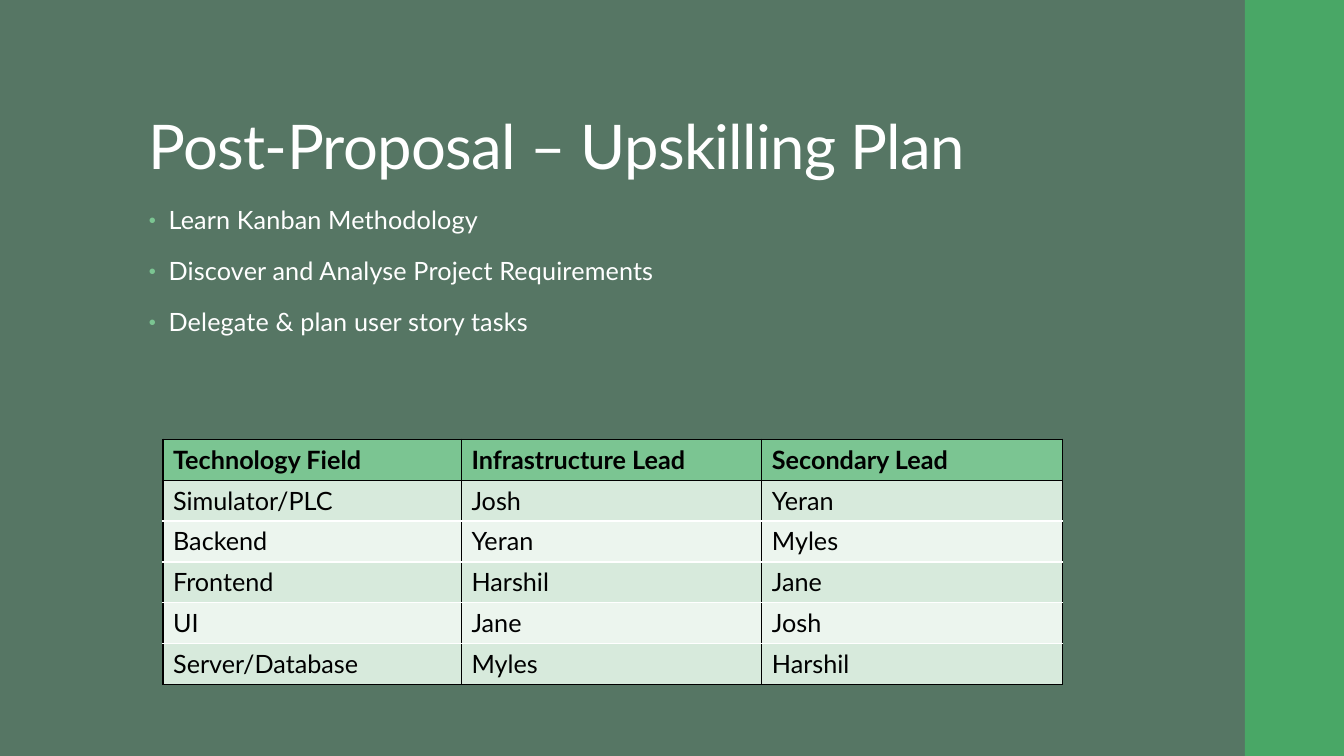
from pptx import Presentation
from pptx import util as u
from pptx.dml.color import RGBColor
from pptx.enum import shapes, text
from pptx.oxml import parse_xml
from pptx.oxml.ns import nsdecls

theme = {
    "font": "Lato",
    "background": "567664", "stripe": "49A766", "accent": "7BC592",
    "light": "FFFFFF", "dark": "000000", "bands": ("ECF5EE", "D7EADC"),
    "title_size": 44, "body_size": 18,
}


def paint(fill, color):
    fill.solid()
    fill.fore_color.rgb = RGBColor.from_string(color)


def write(para, words, size, color, bold=False, spacing=0):
    span = para.add_run()
    span.text = words
    span.font.color.rgb = RGBColor.from_string(color)
    font_format = {"name": theme["font"], "size": u.Pt(size), "bold": bold}
    for name, value in font_format.items():
        setattr(span.font, name, value)
    if spacing:
        span._r.get_or_add_rPr().set("spc", str(spacing))


deck = Presentation()
deck.slide_width, deck.slide_height = u.Cm(33.87), u.Cm(19.05)
page = deck.slides.add_slide(deck.slide_layouts[6])
paint(page.background.fill, theme["background"])

# Stripe along the right edge
stripe_left = u.Cm(31.37)
stripe = page.shapes.add_shape(shapes.MSO_SHAPE.RECTANGLE, stripe_left, 0,
                               deck.slide_width - stripe_left, deck.slide_height)
stripe.shadow.inherit = False
paint(stripe.fill, theme["stripe"])
stripe.line.fill.background()

# Title
title = page.shapes.add_textbox(u.Cm(3.5), u.Cm(1.88), u.Cm(26.92), u.Cm(2.84)).text_frame
title.word_wrap = True
title.vertical_anchor = text.MSO_ANCHOR.BOTTOM
title.paragraphs[0].line_spacing = 0.9
write(title.paragraphs[0], "Post-Proposal – Upskilling Plan",
      theme["title_size"], theme["light"], spacing=-50)

# Bulleted steps
steps = ("Learn Kanban Methodology",
         "Discover and Analyse Project Requirements",
         "Delegate & plan user story tasks")
step_format = {"line_spacing": 0.95, "space_before": u.Pt(14), "space_after": u.Pt(2)}
bullet_parts = (
    f'<a:buClr {nsdecls("a")}><a:srgbClr val="{theme["accent"]}"/></a:buClr>',
    f'<a:buSzPct {nsdecls("a")} val="80000"/>',
    f'<a:buFont {nsdecls("a")} typeface="Arial"/>',
    f'<a:buChar {nsdecls("a")} char="•"/>',
)
body = page.shapes.add_textbox(u.Cm(3.5), u.Cm(5.08), u.Cm(23.88), u.Cm(5.44)).text_frame
body.word_wrap = True
for index, step in enumerate(steps):
    para = body.add_paragraph() if index else body.paragraphs[0]
    for name, value in step_format.items():
        setattr(para, name, value)
    properties = para._p.get_or_add_pPr()
    properties.set("marL", str(u.Cm(0.5)))
    properties.set("indent", str(-u.Cm(0.5)))
    for part in bullet_parts:
        properties.append(parse_xml(part))
    write(para, step, theme["body_size"], theme["light"], spacing=10)

# Table of leads
leads = (
    ("Technology Field", "Infrastructure Lead", "Secondary Lead"),
    ("Simulator/PLC", "Josh", "Yeran"),
    ("Backend", "Yeran", "Myles"),
    ("Frontend", "Harshil", "Jane"),
    ("UI", "Jane", "Josh"),
    ("Server/Database", "Myles", "Harshil"),
)
widths = (7.52, 7.57, 7.57)
row_height = 1.03
last = len(leads) - 1
table = page.shapes.add_table(len(leads), len(widths), u.Cm(4.11), u.Cm(11.07),
                              u.Cm(sum(widths)), u.Cm(row_height * len(leads))).table
for column, width in zip(table.columns, widths):
    column.width = u.Cm(width)
for row_index, names in enumerate(leads):
    table.rows[row_index].height = u.Cm(row_height)
    header = row_index == 0
    # Dark rules everywhere except between the body rows
    borders = {
        "lnL": theme["dark"],
        "lnR": theme["dark"],
        "lnT": theme["dark"] if row_index <= 1 else theme["light"],
        "lnB": theme["dark"] if row_index in (0, last) else theme["light"],
    }
    for cell, name in zip(table.rows[row_index].cells, names):
        for side, color in borders.items():
            cell._tc.get_or_add_tcPr().append(parse_xml(
                f'<a:{side} {nsdecls("a")} w="{u.Pt(1)}"><a:solidFill>'
                f'<a:srgbClr val="{color}"/></a:solidFill></a:{side}>'))
        paint(cell.fill, theme["accent"] if header else theme["bands"][row_index % 2])
        write(cell.text_frame.paragraphs[0], name, theme["body_size"], theme["dark"], bold=header)

deck.save("out.pptx")
